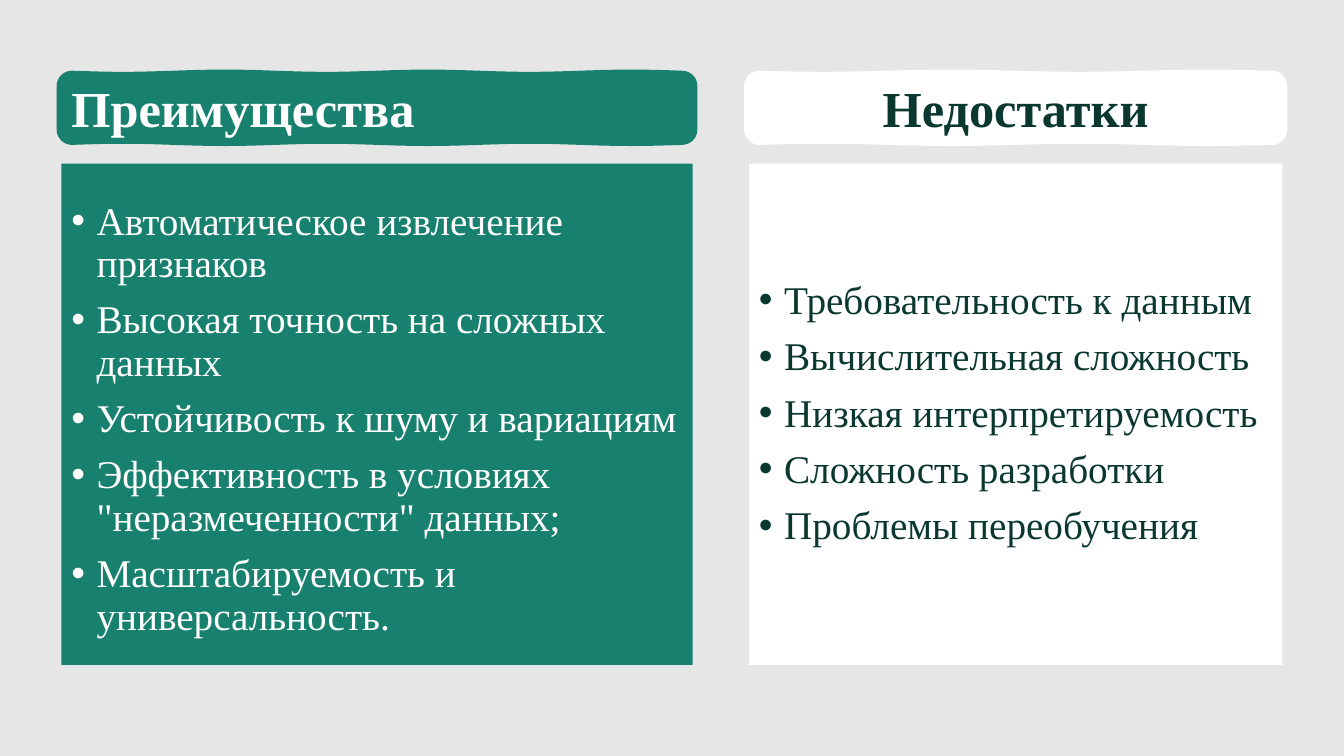
from math import cos, pi, sin

from lxml.etree import SubElement
from pptx import Presentation
from pptx.dml.color import RGBColor
from pptx.enum.shapes import MSO_SHAPE
from pptx.enum.text import MSO_ANCHOR as ANCHOR, PP_ALIGN as ALIGN
from pptx.oxml.ns import qn
from pptx.util import Pt

FONT = "Times New Roman"
GREEN, DARK, WHITE, GREY = "18806E", "0A3830", "FFFFFF", "E7E6E6"
HEAD_H, HEAD_GAP = 46, 16.9

ADVANTAGES = [
    "Автоматическое извлечение признаков",
    "Высокая точность на сложных данных",
    "Устойчивость к шуму и вариациям",
    "Эффективность в условиях \"неразмеченности\" данных;",
    "Масштабируемость и универсальность.",
]
DRAWBACKS = [
    "Требовательность к данным",
    "Вычислительная сложность",
    "Низкая интерпретируемость",
    "Сложность разработки",
    "Проблемы переобучения",
]


def rgb(value):
    return RGBColor.from_string(value)


def set_run(p, size, color, bold=False):
    font = p.runs[0].font
    font.name, font.size, font.bold = FONT, Pt(size), bold
    font.color.rgb = rgb(color)


def add_bullet(p, indent):
    pPr = p._p.get_or_add_pPr()
    pPr.set("marL", str(Pt(indent)))
    pPr.set("indent", str(-Pt(indent)))
    SubElement(pPr, qn("a:buFont"), typeface="Arial")
    SubElement(pPr, qn("a:buChar"), char="•")


def wavy_outline(x, y, w, h, radius=7.5, wave=0.8, period=150, steps=60):
    """Rounded box whose top and bottom edges ripple slightly."""
    def corner(cx, cy, start):
        angles = [start + pi / 2 * i / 6 for i in range(7)]
        return [(cx + radius * cos(a), cy + radius * sin(a)) for a in angles]

    left, right = x + radius, x + w - radius
    top, bottom = y + radius, y + h - radius
    length = right - left
    waves = round(length / period)
    offsets = [(length * i / steps, wave * sin(2 * pi * waves * i / steps))
               for i in range(1, steps)]
    return (corner(left, top, pi)
            + [(left + d, y + dy) for d, dy in offsets]
            + corner(right, top, -pi / 2)
            + corner(right, bottom, 0)
            + [(right - d, y + h + dy) for d, dy in offsets]
            + corner(left, bottom, pi / 2))


def add_heading(slide, x, y, w, h, text, fill, color, align):
    points = [(Pt(px), Pt(py)) for px, py in wavy_outline(x, y, w, h)]
    builder = slide.shapes.build_freeform(*points[0])
    builder.add_line_segments(points[1:], close=True)
    s = builder.convert_to_shape()
    s.shadow.inherit = False
    s.fill.solid()
    s.fill.fore_color.rgb = rgb(fill)
    s.line.color.rgb = rgb(fill)
    s.line.width = Pt(7)
    tf = s.text_frame
    tf.word_wrap = True
    tf.vertical_anchor = ANCHOR.MIDDLE
    tf.text = text
    p = tf.paragraphs[0]
    p.alignment = align
    set_run(p, 36, color, bold=True)


def add_card(slide, x, y, w, h, items, fill, color, inset_top):
    s = slide.shapes.add_shape(MSO_SHAPE.RECTANGLE, Pt(x), Pt(y), Pt(w), Pt(h))
    s.shadow.inherit = False
    s.fill.solid()
    s.fill.fore_color.rgb = rgb(fill)
    s.line.fill.background()
    tf = s.text_frame
    tf.word_wrap = True
    tf.vertical_anchor = ANCHOR.MIDDLE
    tf.margin_top = Pt(inset_top)
    tf.text = "\n".join(items)
    for i, p in enumerate(tf.paragraphs):
        p.alignment = ALIGN.LEFT
        p.line_spacing = 0.9
        p.space_before = Pt(10 if i else 0)
        add_bullet(p, 18)
        set_run(p, 28, color)


def add_column(slide, x, y, w, h, title, items, fill, color, align, inset_top):
    """Heading above a bulleted card, both as wide as the column."""
    card_y = y + HEAD_H + HEAD_GAP
    add_card(slide, x, card_y, w, y + h - card_y, items, fill, color, inset_top)
    add_heading(slide, x, y, w, HEAD_H, title, fill, color, align)


def main():
    prs = Presentation()
    prs.slide_width, prs.slide_height = Pt(960), Pt(540)
    slide = prs.slides.add_slide(prs.slide_layouts[6])
    background = slide.background.fill
    background.solid()
    background.fore_color.rgb = rgb(GREY)

    # Advantages on the left, drawbacks on the right
    add_column(slide, 43.9, 54, 450.8, 421, "Преимущества", ADVANTAGES,
               GREEN, WHITE, ALIGN.LEFT, 11.5)
    add_column(slide, 535, 54, 381, 421, "Недостатки", DRAWBACKS,
               WHITE, DARK, ALIGN.CENTER, 3.6)
    prs.save("out.pptx")


if __name__ == "__main__":
    main()
